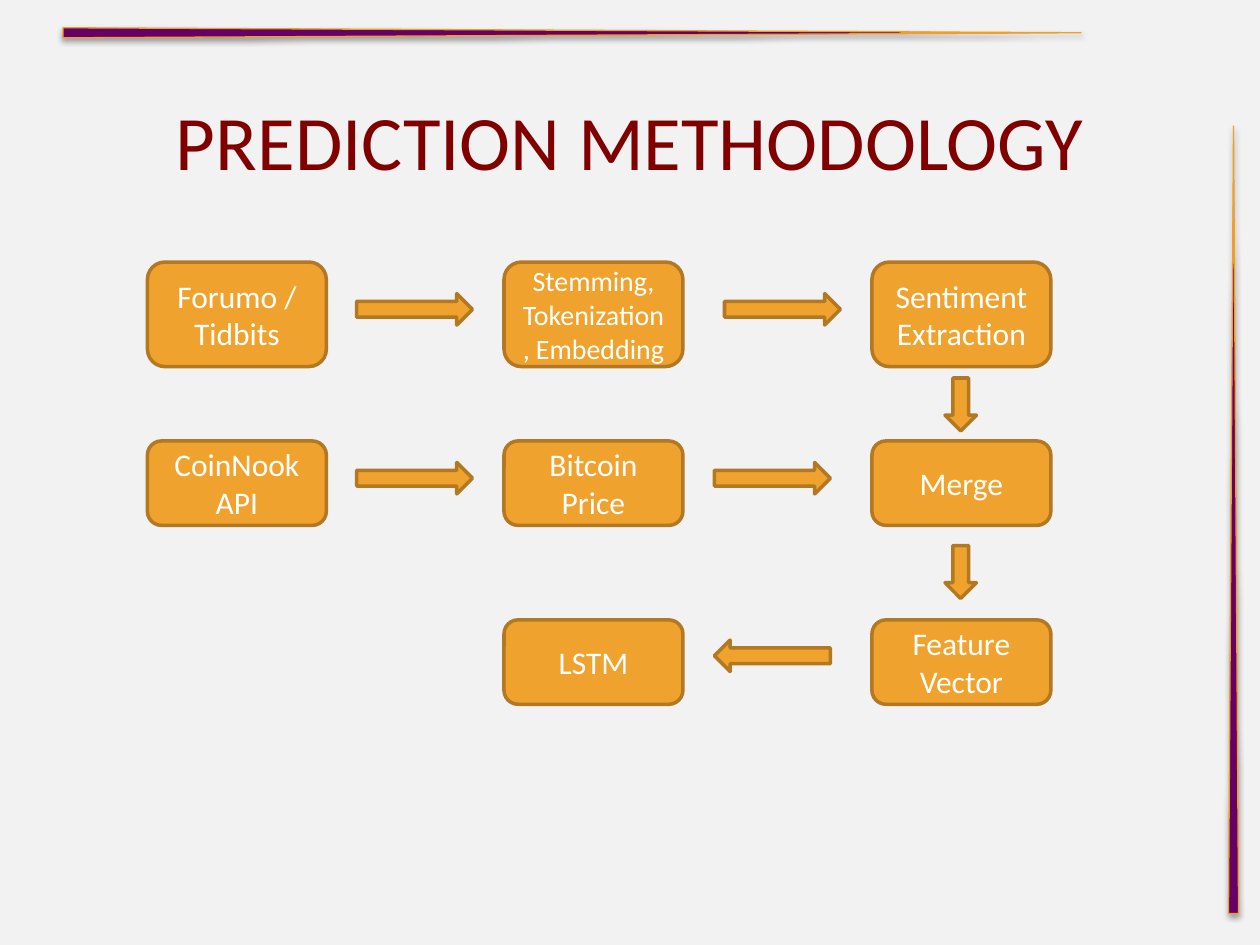
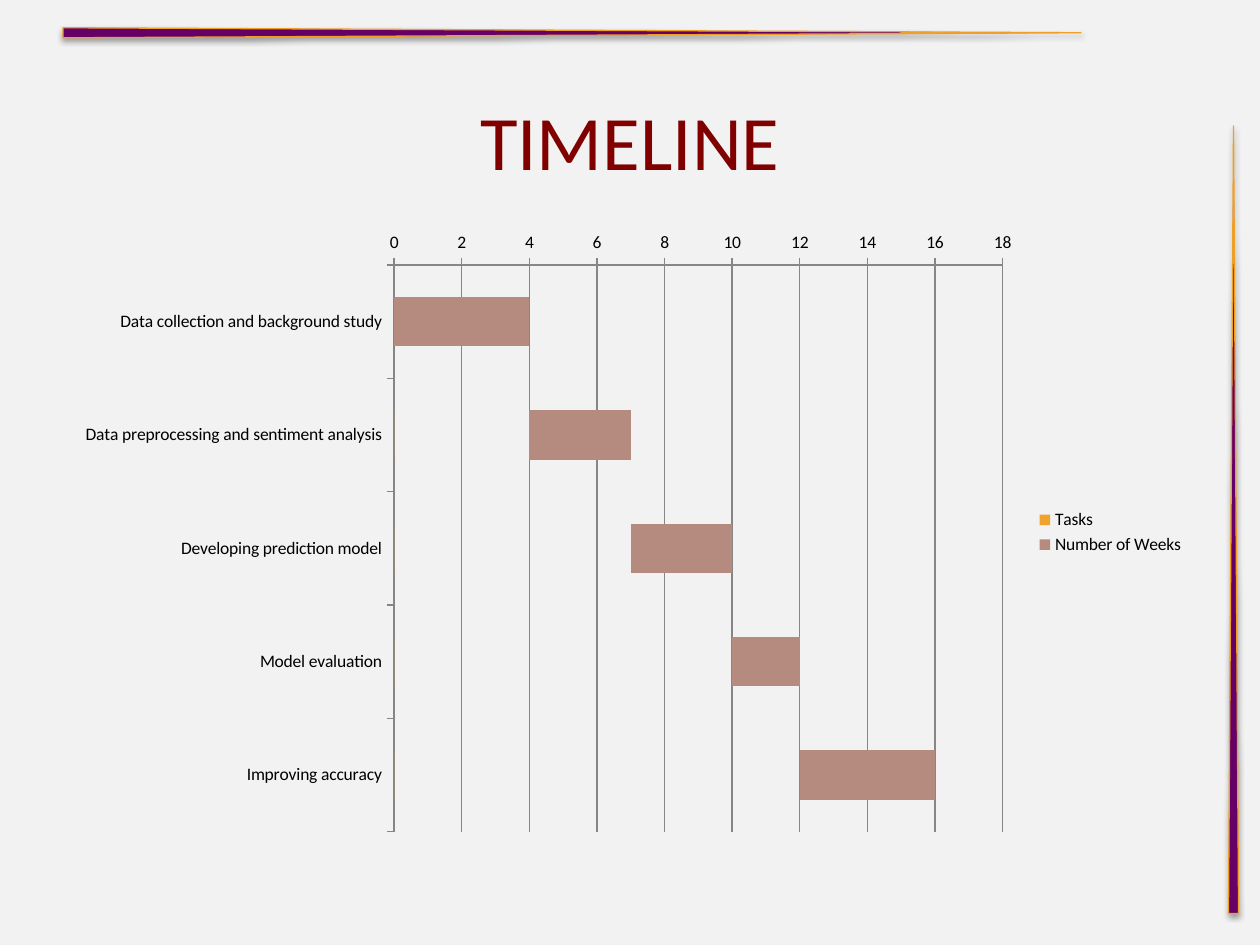
"""Build a prediction methodology flow and its project timeline."""
from lxml import etree
from pptx import Presentation
from pptx.chart.data import CategoryChartData
from pptx.dml.color import RGBColor
from pptx.enum.chart import XL_CHART_TYPE, XL_LEGEND_POSITION, XL_TICK_MARK
from pptx.enum.shapes import MSO_SHAPE
from pptx.enum.text import MSO_ANCHOR, PP_ALIGN
from pptx.oxml.ns import qn
from pptx.util import Inches, Pt

BAR_STACKED = XL_CHART_TYPE.BAR_STACKED
LEGEND_RIGHT = XL_LEGEND_POSITION.RIGHT
TICK_OUTSIDE = XL_TICK_MARK.OUTSIDE
TAPER = MSO_SHAPE.FLOWCHART_EXTRACT
ROUNDED = MSO_SHAPE.ROUNDED_RECTANGLE
RIGHT, LEFT, DOWN = MSO_SHAPE.RIGHT_ARROW, MSO_SHAPE.LEFT_ARROW, MSO_SHAPE.DOWN_ARROW
MIDDLE = MSO_ANCHOR.MIDDLE
CENTER = PP_ALIGN.CENTER

FONT = "Calibri"
PAPER, PURPLE, GOLD, MAROON = "F2F2F2", "660066", "EF9F28", "800000"
ORANGE, BROWN, CLAY = "F0A22E", "B27822", "B58B80"
WHITE, BLACK, GRAY = "FFFFFF", "000000", "868686"

COLUMNS = (1.17, 4, 6.92)
ROWS = (2.08, 3.5, 4.92)
HEIGHTS = (0.83, 0.67, 0.67)
STEP_WIDTH = 1.42
STEPS = (
    (0, 0, "Forumo / Tidbits", 18),
    (0, 1, "Stemming, Tokenization, Embedding", 16),
    (0, 2, "Sentiment Extraction", 18),
    (1, 0, "CoinNook API", 18),
    (1, 1, "Bitcoin Price", 18),
    (1, 2, "Merge", 18),
    (2, 2, "Feature Vector", 18),
    (2, 1, "LSTM", 18),
)
ACROSS, DOWNWARD = (0.92, 0.25), (0.25, 0.42)
ARROWS = (
    (RIGHT, 2.83, 2.33, ACROSS),
    (RIGHT, 5.75, 2.33, ACROSS),
    (RIGHT, 2.83, 3.67, ACROSS),
    (RIGHT, 5.67, 3.67, ACROSS),
    (DOWN, 7.5, 3, DOWNWARD),
    (DOWN, 7.5, 4.33, DOWNWARD),
    (LEFT, 5.67, 5.08, ACROSS),
)
TASKS = (
    ("Data collection and background study", 4),
    ("Data preprocessing and sentiment analysis", 3),
    ("Developing prediction model", 3),
    ("Model evaluation", 2),
    ("Improving accuracy", 4),
)


def color(value):
    """Turn a hex string into a colour."""
    return RGBColor.from_string(value)


def style_font(font, size, value):
    """Set the typeface, size and colour of a font."""
    font.name, font.size = FONT, Pt(size)
    font.color.rgb = color(value)


def add_figure(slide, preset, box, fill, line, width):
    """Add a filled, outlined preset shape without a shadow."""
    figure = slide.shapes.add_shape(preset, *map(Inches, box))
    figure.shadow.inherit = False
    figure.fill.solid()
    figure.fill.fore_color.rgb = color(fill)
    figure.line.color.rgb = color(line)
    figure.line.width = Pt(width)
    return figure


def add_drop_shadow(figure):
    """Give a shape a soft shadow straight below it."""
    effects = figure.element.spPr.find(qn("a:effectLst"))
    shadow = etree.SubElement(effects, qn("a:outerShdw"), blurRad=str(Pt(3.1)),
                              dist=str(Pt(1.8)), dir="5400000", rotWithShape="0")
    tint = etree.SubElement(shadow, qn("a:srgbClr"), val=BLACK)
    etree.SubElement(tint, qn("a:alpha"), val="35000")


def decorate_layout(layout, slide):
    """Draw the two tapering bands and move them to the shared layout."""
    bands = ((9.75, 1, 0.08, 6.25, 0), (4.5, -3.78, 0.08, 8.08, 90))
    for number, (*box, rotation) in enumerate(bands):
        band = add_figure(slide, TAPER, box, PURPLE, GOLD, 0.75)
        band.rotation = rotation
        add_drop_shadow(band)
        band.element.nvSpPr.cNvPr.set("id", str(20 + number))
        layout.shapes.element.insert(2 + number, band.element)


def set_title(slide, wording):
    """Place and format the slide title."""
    title = slide.shapes.title
    title.left, title.top = Inches(0.5), Inches(0.67)
    title.width, title.height = Inches(9), Inches(0.88)
    title.text_frame.text = wording
    title.text_frame.vertical_anchor = MIDDLE
    heading = title.text_frame.paragraphs[0]
    heading.alignment = CENTER
    style_font(heading.font, 44, MAROON)


def add_step(slide, row, column, wording, size):
    """Add one step of the flow in its grid cell."""
    box = (COLUMNS[column], ROWS[row], STEP_WIDTH, HEIGHTS[row])
    step = add_figure(slide, ROUNDED, box, ORANGE, BROWN, 2)
    step.text_frame.text = wording
    step.text_frame.word_wrap = True
    step.text_frame.vertical_anchor = MIDDLE
    label = step.text_frame.paragraphs[0]
    label.alignment = CENTER
    style_font(label.font, size, WHITE)


def style_axis(axis):
    """Give an axis its gray line and outside ticks."""
    axis.format.line.color.rgb = color(GRAY)
    axis.major_tick_mark = TICK_OUTSIDE


def add_legend(chart, hidden_entry):
    """Show the legend at the right without the hidden entry."""
    chart.has_legend = True
    legend = chart.legend
    legend.position = LEGEND_RIGHT
    legend.include_in_layout = False
    entry = etree.Element(qn("c:legendEntry"))
    etree.SubElement(entry, qn("c:idx"), val=str(hidden_entry))
    etree.SubElement(entry, qn("c:delete"), val="1")
    position = chart.element.find(".//" + qn("c:legendPos"))
    position.addnext(entry)


def add_timeline(slide):
    """Add the stacked bars, each starting where the previous task ends."""
    names, weeks = zip(*TASKS)
    starts = [sum(weeks[:index]) for index in range(len(weeks))]
    schedule = CategoryChartData()
    schedule.categories = names
    schedule.add_series("Tasks", [0] * len(weeks))
    schedule.add_series("Series 2", starts)
    schedule.add_series("Number of Weeks", weeks)
    box = map(Inches, (0.5, 1.75, 9, 4.95))
    chart = slide.shapes.add_chart(BAR_STACKED, *box, schedule).chart
    chart.has_title = False
    style_font(chart.font, 10, BLACK)

    bars = chart.plots[0]
    bars.gap_width, bars.overlap = 131, 100
    bars.vary_by_categories = False
    for series, fill in zip(bars.series, (ORANGE, None, CLAY)):
        if fill:
            series.format.fill.solid()
            series.format.fill.fore_color.rgb = color(fill)
        else:
            series.format.fill.background()

    style_axis(chart.category_axis)
    chart.category_axis.reverse_order = True
    week_axis = chart.value_axis
    style_axis(week_axis)
    week_axis.minimum_scale, week_axis.maximum_scale = 0, 18
    week_axis.major_unit = 2
    week_axis.has_major_gridlines = True
    week_axis.major_gridlines.format.line.color.rgb = color(GRAY)
    add_legend(chart, 1)


def main():
    """Build both slides and save the deck."""
    deck = Presentation()
    deck.slide_width, deck.slide_height = Inches(10), Inches(7.5)
    layout = deck.slide_layouts[5]
    backdrop = deck.slide_master.background.fill
    backdrop.solid()
    backdrop.fore_color.rgb = color(PAPER)

    methodology = deck.slides.add_slide(layout)
    decorate_layout(layout, methodology)
    set_title(methodology, "PREDICTION METHODOLOGY")
    for step in STEPS:
        add_step(methodology, *step)
    for preset, left, top, size in ARROWS:
        add_figure(methodology, preset, (left, top, *size), ORANGE, BROWN, 2)

    timeline = deck.slides.add_slide(layout)
    set_title(timeline, "TIMELINE")
    add_timeline(timeline)
    deck.save("out.pptx")


main()
